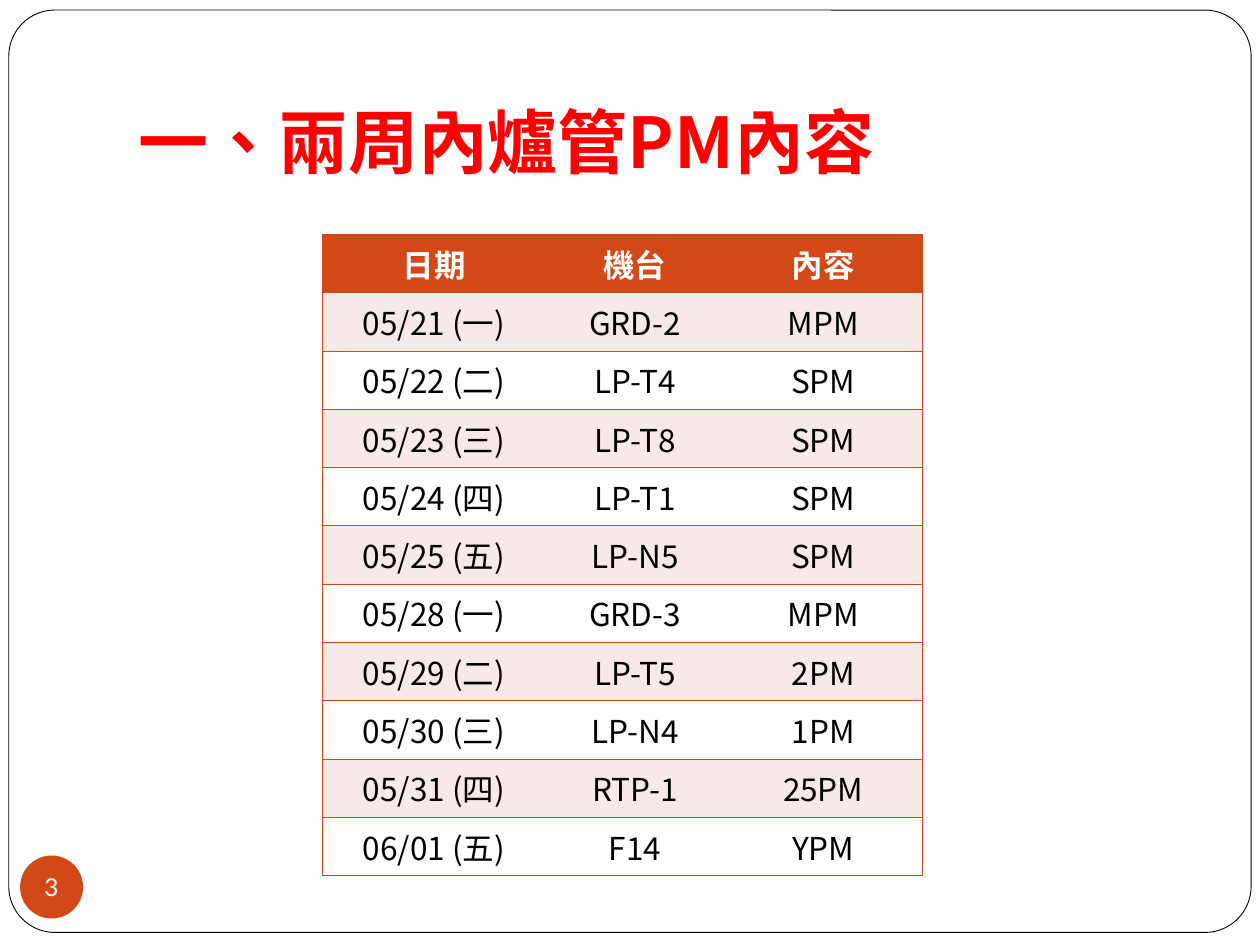
from lxml import etree
from pptx import Presentation
from pptx.dml.color import RGBColor
from pptx.enum import shapes, text
from pptx.oxml import ns
from pptx.util import Inches, Pt

ORANGE, PINK, WHITE, BLACK = "D34817", "F7E9E7", "FFFFFF", "000000"
CJK_FONT = "Noto Sans CJK SC"


def color(value):
    return RGBColor.from_string(value)


def write(frame, content, size=18, font=CJK_FONT, ink=BLACK, bold=False,
          align=text.PP_ALIGN.CENTER):
    paragraph = frame.paragraphs[0]
    paragraph.alignment = align
    run = paragraph.add_run()
    run.text = content
    run.font.size = Pt(size)
    run.font.name = font
    run.font.bold = bold
    run.font.color.rgb = color(ink)
    # Traditional Chinese centres the enumeration comma
    properties = run.font._element
    properties.set("lang", "zh-TW")
    etree.SubElement(properties, ns.qn("a:ea")).set("typeface", font)


presentation = Presentation()
presentation.slide_width = Inches(10)
presentation.slide_height = Inches(7.5)
slide = presentation.slides.add_slide(presentation.slide_layouts[6])

# Rounded page frame
frame = slide.shapes.add_shape(shapes.MSO_SHAPE.ROUNDED_RECTANGLE, Inches(0.07),
                               Inches(0.08), Inches(9.86), Inches(7.32))
frame.adjustments[0] = 0.05
frame.shadow.inherit = False
frame.fill.solid()
frame.fill.fore_color.rgb = color(WHITE)
frame.line.color.rgb = color(BLACK)
frame.line.width = Pt(0.5)

# Title
title = slide.shapes.add_textbox(Inches(1), Inches(0.3), Inches(8.5), Inches(1.25))
title.text_frame.word_wrap = True
title.text_frame.vertical_anchor = text.MSO_ANCHOR.BOTTOM
title.text_frame.margin_bottom = Inches(0.1)
write(title.text_frame, "一、兩周內爐管PM內容", size=40, ink="FF0000", bold=True,
      align=text.PP_ALIGN.LEFT)

# Maintenance schedule
schedule = [
    ("日期", "機台", "內容"),
    ("05/21 (一)", "GRD-2", "MPM"),
    ("05/22 (二)", "LP-T4", "SPM"),
    ("05/23 (三)", "LP-T8", "SPM"),
    ("05/24 (四)", "LP-T1", "SPM"),
    ("05/25 (五)", "LP-N5", "SPM"),
    ("05/28 (一)", "GRD-3", "MPM"),
    ("05/29 (二)", "LP-T5", "2PM"),
    ("05/30 (三)", "LP-N4", "1PM"),
    ("05/31 (四)", "RTP-1", "25PM"),
    ("06/01 (五)", "F14", "YPM"),
]
column_widths = [1.77, 1.42, 1.57]
last_column = len(column_widths) - 1
table = slide.shapes.add_table(len(schedule), len(column_widths), Inches(2.56),
                               Inches(1.86), Inches(4.76), Inches(5.09)).table
table.first_row = table.horz_banding = False
for column, width in zip(table.columns, column_widths):
    column.width = Inches(width)

for row_index, row in enumerate(schedule):
    header = row_index == 0
    band = ORANGE if header else PINK if row_index % 2 else WHITE
    for column_index, content in enumerate(row):
        cell = table.cell(row_index, column_index)
        write(cell.text_frame, content, ink=WHITE if header else BLACK, bold=header)
        # Outer edges and row rules are drawn, inner column edges are not
        drawn = {"lnL": column_index == 0, "lnR": column_index == last_column,
                 "lnT": True, "lnB": True}
        properties = cell._tc.get_or_add_tcPr()
        for side, visible in drawn.items():
            border = etree.SubElement(properties, ns.qn(f"a:{side}"))
            if visible:
                border.set("w", str(Pt(0.45)))
                fill = etree.SubElement(border, ns.qn("a:solidFill"))
                etree.SubElement(fill, ns.qn("a:srgbClr")).set("val", ORANGE)
            else:
                etree.SubElement(border, ns.qn("a:noFill"))
        cell.fill.solid()
        cell.fill.fore_color.rgb = color(band)

# Page number badge
badge = slide.shapes.add_shape(shapes.MSO_SHAPE.OVAL, Inches(0.16), Inches(6.79),
                               Inches(0.5), Inches(0.5))
badge.shadow.inherit = False
badge.fill.solid()
badge.fill.fore_color.rgb = color(ORANGE)
badge.line.fill.background()
number = badge.text_frame
number.word_wrap = False
number.vertical_anchor = text.MSO_ANCHOR.MIDDLE
number.margin_left = number.margin_right = number.margin_top = number.margin_bottom = 0
write(number, "3", size=14, font="Lato", ink=WHITE)

presentation.save("out.pptx")
